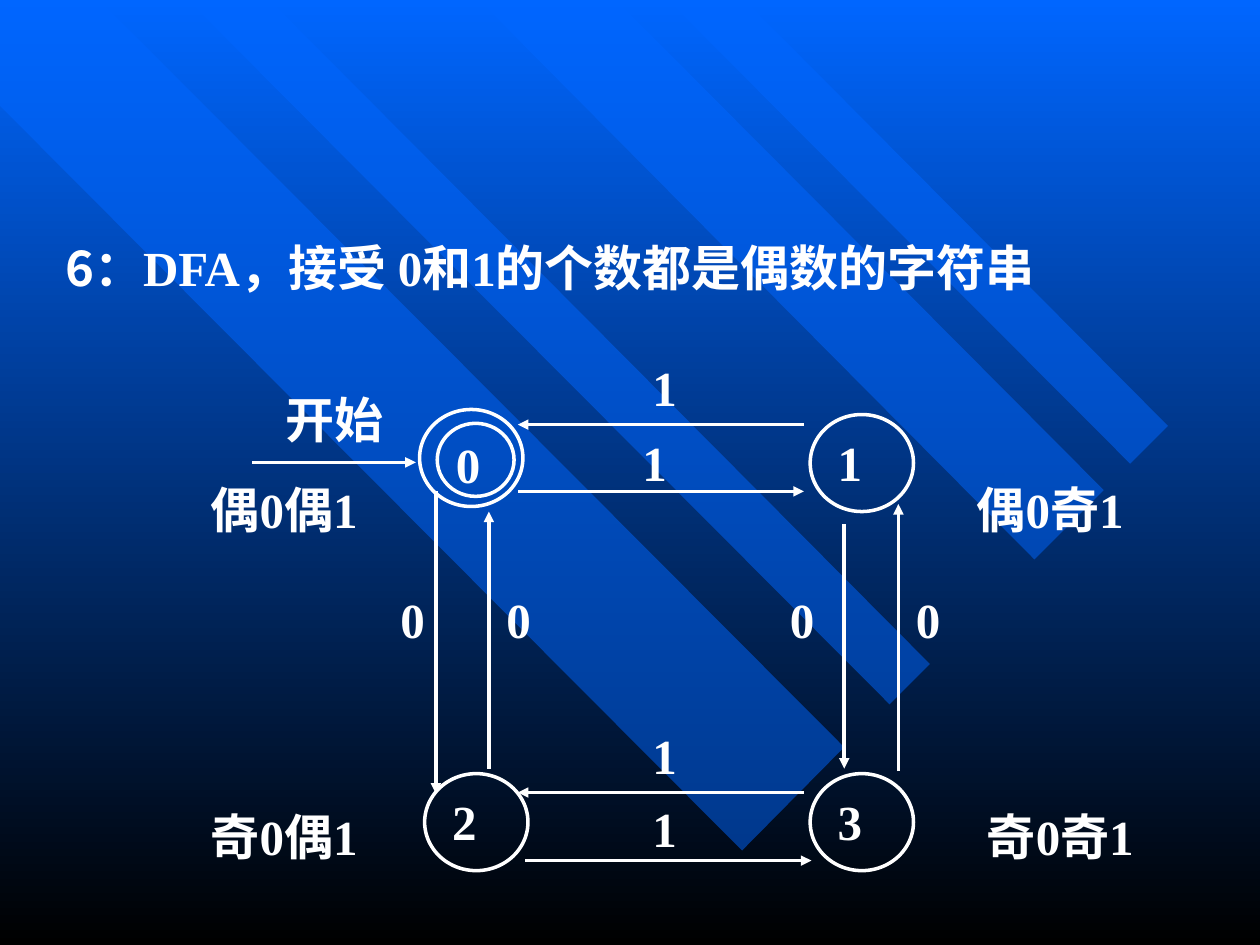
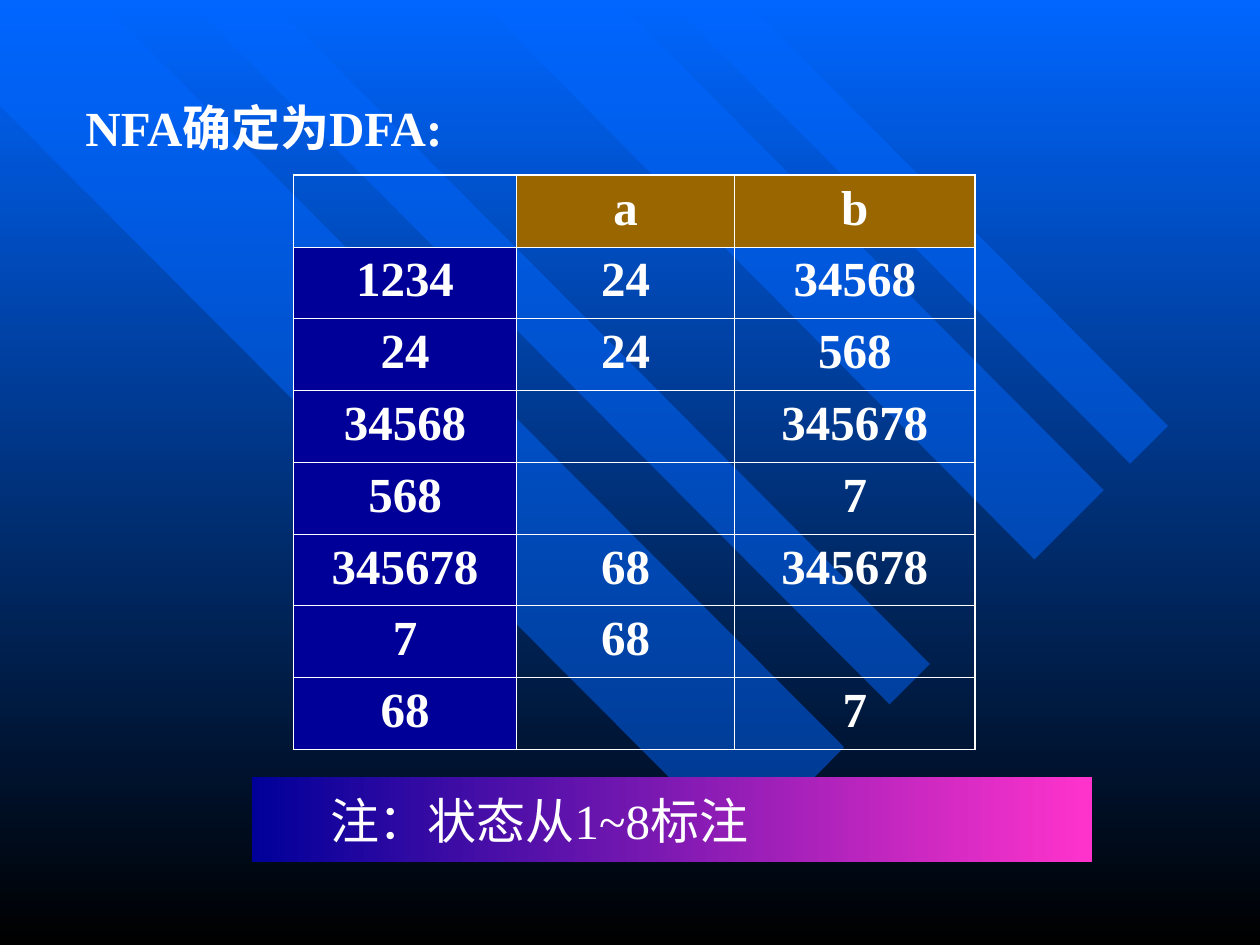
from itertools import product
from typing import NamedTuple

from lxml import etree
from pptx import Presentation
from pptx.dml.color import RGBColor
from pptx.enum.shapes import MSO_CONNECTOR, MSO_SHAPE
from pptx.enum.text import MSO_ANCHOR, PP_ALIGN
from pptx.oxml.ns import qn
from pptx.util import Inches, Pt

ELLIPSE, RECTANGLE = MSO_SHAPE.OVAL, MSO_SHAPE.RECTANGLE
STRAIGHT = MSO_CONNECTOR.STRAIGHT
TOP, MIDDLE = MSO_ANCHOR.TOP, MSO_ANCHOR.MIDDLE
LEFT, CENTER = PP_ALIGN.LEFT, PP_ALIGN.CENTER

WHITE = RGBColor(0xFF, 0xFF, 0xFF)
BLACK = RGBColor(0x00, 0x00, 0x00)
BLUE = RGBColor(0x00, 0x66, 0xFF)
NAVY = RGBColor(0x00, 0x00, 0x99)
PINK = RGBColor(0xFF, 0x33, 0xCC)
BROWN = RGBColor(0x99, 0x66, 0x00)

LATIN_FONT = "Times New Roman"
CHINESE_FONT = "Noto Sans CJK SC"
TEXT_SIZE = Pt(28)
STROKE = Pt(2)
OUTER_BORDER, INNER_BORDER = Pt(1.08), Pt(0.45)


class Box(NamedTuple):
    left: float
    top: float
    width: float
    height: float

    def lengths(self) -> list:
        return [Inches(side) for side in self]


class Style(NamedTuple):
    insets: tuple = (0.1, 0.05, 0.1, 0.05)
    anchor: MSO_ANCHOR = MIDDLE
    align: PP_ALIGN = LEFT
    wrap: bool = True
    bold: bool = True


class State(NamedTuple):
    name: str
    circle: Box
    parity: str
    parity_left: float
    parity_top: float


class Transition(NamedTuple):
    start: tuple
    end: tuple


class Symbol(NamedTuple):
    text: str
    left: float
    top: float
    width: float


TITLE = Style()
NOTE = Style(insets=(0.62, 0.05, 0.1, 0.05), bold=False)
STATE_NAME = Style(insets=(0.1, 0.03, 0.1, 0.05), anchor=TOP)
START_NAME = Style(insets=(0.06, 0, 0.04, 0), anchor=TOP)
SYMBOL = Style(insets=(0.1, 0.01, 0.1, 0.05), anchor=TOP)
PARITY = Style(insets=(0.06, 0.03, 0.06, 0.03), align=CENTER, wrap=False)
CELL = Style(anchor=TOP, align=CENTER)

BANDS = [
    [(6.7, 5.93), (0.79, 0), (0, 0), (0, 0.84), (5.89, 6.75)],
    [(2.14, 0), (7.38, 5.27), (7.06, 5.59), (1.49, 0)],
    [(4.89, 0), (8.76, 3.89), (8.21, 4.44), (3.8, 0)],
    [(5.3, 0), (8.97, 3.68), (9.27, 3.38), (5.91, 0)],
]

DFA_TITLE = [
    ("6：", CHINESE_FONT),
    ("DFA", LATIN_FONT),
    ("，接受 ", CHINESE_FONT),
    ("0", LATIN_FONT),
    ("和", CHINESE_FONT),
    ("1", LATIN_FONT),
    ("的个数都是偶数的字符串", CHINESE_FONT),
]
START_RING = Box(3.33, 3.25, 0.82, 0.77)
STATES = [
    State("0", Box(3.47, 3.36, 0.61, 0.58), "偶0偶1", 1.42, 3.58),
    State("1", Box(6.43, 3.29, 0.82, 0.77), "偶0奇1", 7.5, 3.58),
    State("2", Box(3.37, 6.14, 0.82, 0.77), "奇0偶1", 1.42, 6.17),
    State("3", Box(6.43, 6.14, 0.82, 0.77), "奇0奇1", 7.58, 6.17),
]
TRANSITIONS = [
    Transition((2, 3.67), (3.3, 3.67)),
    Transition((4.11, 3.9), (6.38, 3.9)),
    Transition((6.38, 3.37), (4.11, 3.37)),
    Transition((6.38, 6.29), (4.11, 6.29)),
    Transition((4.17, 6.83), (6.44, 6.83)),
    Transition((3.46, 3.9), (3.46, 6.3)),
    Transition((3.88, 6.1), (3.88, 4.06)),
    Transition((6.7, 4.16), (6.7, 6.1)),
    Transition((7.13, 6.12), (7.13, 4)),
]
SYMBOLS = [
    Symbol("开始", 2.17, 3.08, 1.62),
    Symbol("1", 5.08, 2.83, 0.65),
    Symbol("1", 5, 3.42, 0.65),
    Symbol("1", 5.08, 5.75, 0.65),
    Symbol("1", 5.08, 6.33, 0.65),
    *(Symbol("0", left, 4.67, 0.97) for left in (3.08, 3.92, 6.17, 7.17)),
]

SUBSETS = [
    ("", "a", "b"),
    ("1234", "24", "34568"),
    ("24", "24", "568"),
    ("34568", "", "345678"),
    ("568", "", "7"),
    ("345678", "68", "345678"),
    ("7", "68", ""),
    ("68", "", "7"),
]
SUBSET_BOX = Box(2.33, 1.39, 5.42, 4.56)
SUBSET_WIDTHS = (1.77, 1.73, 1.91)


def fill_gradient(fill, colors: tuple, angle: float) -> None:
    fill.gradient()
    fill.gradient_angle = angle
    for stop, color in zip(fill.gradient_stops, colors):
        stop.color.rgb = color


def write(frame, runs: list, style: Style) -> None:
    frame.word_wrap = style.wrap
    frame.vertical_anchor = style.anchor
    (frame.margin_left, frame.margin_top,
     frame.margin_right, frame.margin_bottom) = map(Inches, style.insets)
    paragraph = frame.paragraphs[0]
    paragraph.alignment = style.align
    for text, font_name in runs:
        run = paragraph.add_run()
        run.text = text
        run.font.name = font_name
        run.font.size = TEXT_SIZE
        run.font.bold = style.bold
        run.font.color.rgb = WHITE


def add_label(slide, box: Box, runs: list, style: Style) -> None:
    label = slide.shapes.add_textbox(*box.lengths())
    write(label.text_frame, runs, style)


def add_bands(slide) -> None:
    for corners in BANDS:
        first, *others = [(Inches(x), Inches(y)) for x, y in corners]
        outline = slide.shapes.build_freeform(*first)
        outline.add_line_segments(others, close=True)
        band = outline.convert_to_shape()
        band.shadow.inherit = False
        band.line.fill.background()
        band.fill.solid()
        band.fill.fore_color.rgb = BLUE
        color = next(band.element.iter(qn("a:srgbClr")))
        etree.SubElement(color, qn("a:alpha"), val="50000")


def add_slide(deck):
    slide = deck.slides.add_slide(deck.slide_layouts[6])
    fill_gradient(slide.background.fill, (BLUE, BLACK), 270)
    add_bands(slide)
    return slide


def add_circle(slide, box: Box):
    circle = slide.shapes.add_shape(ELLIPSE, *box.lengths())
    circle.shadow.inherit = False
    circle.fill.background()
    circle.line.color.rgb = WHITE
    circle.line.width = STROKE
    return circle


def add_transition(slide, transition: Transition) -> None:
    ends = map(Inches, transition.start + transition.end)
    arrow = slide.shapes.add_connector(STRAIGHT, *ends)
    arrow.line.color.rgb = WHITE
    arrow.line.width = STROKE
    line = arrow.element.find(".//" + qn("a:ln"))
    etree.SubElement(line, qn("a:tailEnd"), type="triangle")
    line.addnext(line.makeelement(qn("a:effectLst")))


def add_border(cell_properties, position: int, side: str, width: int) -> None:
    border = cell_properties.makeelement(qn(f"a:ln{side}"), {"w": str(width)})
    paint = etree.SubElement(border, qn("a:solidFill"))
    etree.SubElement(paint, qn("a:srgbClr"), val=str(WHITE))
    cell_properties.insert(position, border)


def add_subset_table(slide) -> None:
    row_count, column_count = len(SUBSETS), len(SUBSET_WIDTHS)
    frame = slide.shapes.add_table(row_count, column_count, *SUBSET_BOX.lengths())
    table = frame.table
    table.first_row = table.horz_banding = False
    for column, width in zip(table.columns, SUBSET_WIDTHS):
        column.width = Inches(width)
    places = product(range(row_count), range(column_count))
    for (row, column), element in zip(places, frame.element.iter(qn("a:tc"))):
        cell = table.cell(row, column)
        text = SUBSETS[row][column]
        if text:
            write_cell(cell, text)
        if text and 0 in (row, column):
            cell.fill.solid()
            cell.fill.fore_color.rgb = NAVY if row else BROWN
        else:
            cell.fill.background()
        outer_sides = {
            "L": column == 0,
            "R": column == column_count - 1,
            "T": row == 0,
            "B": row == row_count - 1,
        }
        for position, (side, is_outer) in enumerate(outer_sides.items()):
            width = OUTER_BORDER if is_outer else INNER_BORDER
            add_border(element.get_or_add_tcPr(), position, side, width)


def write_cell(cell, text: str) -> None:
    write(cell.text_frame, [(text, LATIN_FONT)], CELL)
    cell.vertical_anchor = CELL.anchor


def add_note(slide) -> None:
    note = slide.shapes.add_shape(RECTANGLE, *Box(2, 6.17, 6.67, 0.67).lengths())
    note.shadow.inherit = False
    note.line.fill.background()
    fill_gradient(note.fill, (NAVY, PINK), 0)
    write(note.text_frame, [("注：状态从1~8标注", LATIN_FONT)], NOTE)


def set_chinese_font(slide) -> None:
    for latin in list(slide.element.iter(qn("a:latin"))):
        latin.addnext(latin.makeelement(qn("a:ea"), {"typeface": CHINESE_FONT}))


def build_dfa_slide(deck) -> None:
    slide = add_slide(deck)
    add_label(slide, Box(0.42, 1.83, 9.08, 0.58), DFA_TITLE, TITLE)
    add_circle(slide, START_RING)
    for state in STATES:
        circle = add_circle(slide, state.circle)
        style = START_NAME if state.name == "0" else STATE_NAME
        write(circle.text_frame, [(state.name, LATIN_FONT)], style)
        parity_box = Box(state.parity_left, state.parity_top, 1.67, 0.92)
        add_label(slide, parity_box, [(state.parity, LATIN_FONT)], PARITY)
    for transition in TRANSITIONS:
        add_transition(slide, transition)
    for symbol in SYMBOLS:
        symbol_box = Box(symbol.left, symbol.top, symbol.width, 0.53)
        add_label(slide, symbol_box, [(symbol.text, LATIN_FONT)], SYMBOL)
    set_chinese_font(slide)


def build_subset_slide(deck) -> None:
    slide = add_slide(deck)
    title = [("NFA确定为DFA:", LATIN_FONT)]
    add_label(slide, Box(0.58, 0.67, 5, 0.67), title, TITLE)
    add_subset_table(slide)
    add_note(slide)
    set_chinese_font(slide)


def main() -> None:
    deck = Presentation()
    deck.slide_width, deck.slide_height = Inches(10), Inches(7.5)
    build_dfa_slide(deck)
    build_subset_slide(deck)
    deck.save("out.pptx")


if __name__ == "__main__":
    main()
